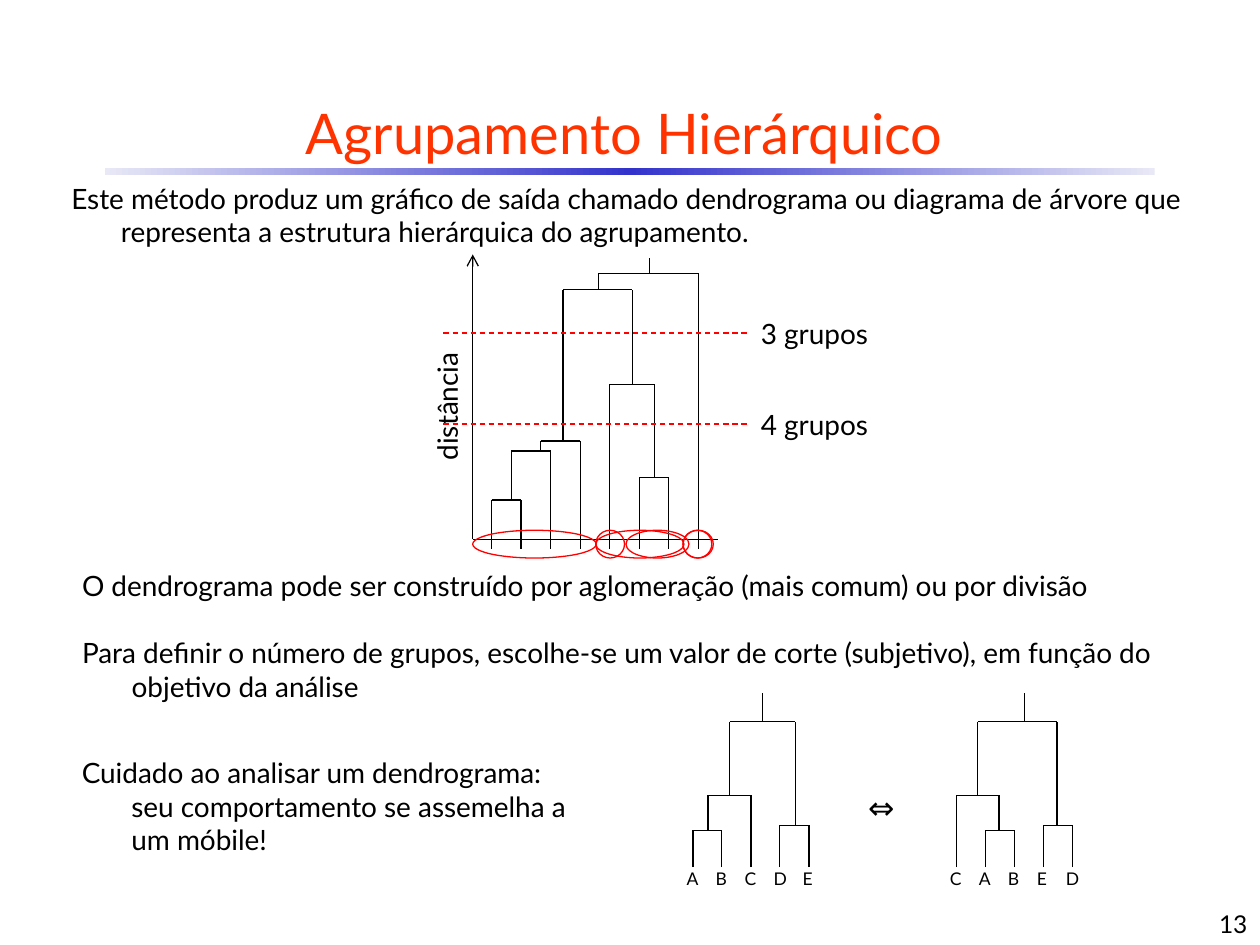
from dataclasses import dataclass
from lxml.etree import SubElement
from pptx import Presentation
from pptx.dml.color import RGBColor
from pptx.enum.dml import MSO_LINE
from pptx.enum.shapes import MSO_CONNECTOR, MSO_SHAPE
from pptx.enum.text import MSO_ANCHOR, MSO_AUTO_SIZE, PP_ALIGN
from pptx.oxml.ns import qn
from pptx.util import Cm, Pt


@dataclass(frozen=True)
class Theme:
    font: str = "Lato"
    ink: str = "000000"
    paper: str = "FFFFFF"
    title: str = "FF3300"
    cut: str = "FF0000"
    pale: str = "E8E8F6"
    deep: str = "3333CC"
    head: int = 32
    sign: int = 18
    body: int = 16
    page: int = 14
    leaf: int = 10
    line: float = 0.75


theme = Theme()
deck = Presentation()
deck.slide_width, deck.slide_height = Cm(25.4), Cm(19.05)
slide = deck.slides.add_slide(deck.slide_layouts[1])
shapes = slide.shapes


def draw(x1, y1, x2, y2, color=theme.ink):
    line = shapes.add_connector(
        MSO_CONNECTOR.STRAIGHT, Cm(x1), Cm(y1), Cm(x2), Cm(y2))
    line.line.color.rgb = RGBColor.from_string(color)
    line.line.width = Pt(theme.line)
    SubElement(line._element.spPr, qn("a:effectLst"))
    return line


def write(box, place, lines, size=theme.body, color=theme.ink,
          align=PP_ALIGN.LEFT, hang=0, wrap=True, gap=0):
    box.left, box.top, box.width, box.height = [Cm(n) for n in place]
    frame = box.text_frame
    frame.word_wrap = wrap
    frame.auto_size = MSO_AUTO_SIZE.NONE
    for i, text in enumerate(lines):
        para = frame.add_paragraph() if i else frame.paragraphs[0]
        props = para._p.get_or_add_pPr()
        props.set("marL", str(Cm(hang)))
        props.set("indent", str(-Cm(hang)))
        SubElement(props, qn("a:buNone"))
        para.alignment = align
        para.space_before = Pt(gap if i else 0)
        run = para.add_run()
        run.text = text
        run.font.name = theme.font
        run.font.size = Pt(size)
        run.font.color.rgb = RGBColor.from_string(color)
    return frame


bar = shapes.add_shape(MSO_SHAPE.RECTANGLE, Cm(2.11), Cm(3.39), Cm(21.17), Cm(0.2))
bar.shadow.inherit = False
bar.line.fill.background()
bar.fill.gradient()
bar.fill.gradient_angle = 0
stops = bar._element.spPr.find(".//" + qn("a:gsLst"))
for stop in list(stops):
    stops.remove(stop)
for part, color in ((0, theme.pale), (50, theme.deep), (100, theme.pale)):
    stop = SubElement(stops, qn("a:gs"), pos=str(part * 1000))
    SubElement(stop, qn("a:srgbClr"), val=color)

write(shapes.title, (0.84, 1.7, 23.5, 1.91), ["Agrupamento Hierárquico"],
      theme.head, theme.title, PP_ALIGN.CENTER)

intro = shapes.add_textbox(0, 0, 0, 0)
intro.fill.solid()
intro.fill.fore_color.rgb = RGBColor.from_string(theme.paper)
write(intro, (1.19, 3.53, 23.42, 1.63), [
    "Este método produz um gráfico de saída chamado dendrograma ou diagrama de "
    "árvore que representa a estrutura hierárquica do agrupamento."], hang=1)

write(slide.placeholders[1], (1.4, 11.33, 23.22, 3), [
    "O dendrograma pode ser construído por aglomeração (mais comum) ou por divisão",
    "Para definir o número de grupos, escolhe-se um valor de corte (subjetivo), "
    "em função do objetivo da análise"], hang=1, gap=19.2)

write(shapes.add_textbox(0, 0, 0, 0), (1.4, 15.11, 10.69, 2.31), [
    "Cuidado ao analisar um dendrograma: seu comportamento se assemelha a "
    "um móbile!"], hang=1)

base = 10.87
axis = draw(9.53, base, 9.53, 5.13)
SubElement(axis.line._get_or_add_ln(), qn("a:tailEnd"), type="arrow")
draw(9.53, base, 14.48, base)
leaf = [9.91 + 0.595 * i for i in range(8)]
for x in leaf:
    draw(x, 10.82, x, 11.07)

foot = 17.48
stems = [(13.1, 5.21, 5.51), (15.37, 13.97, 14.55), (20.65, 13.97, 14.55)]
for x, top, end in stems:
    draw(x, top, x, end)

forks = [
    (leaf[0], base, leaf[1], base, 10.08),
    (10.31, 10.08, leaf[2], base, 9.09),
    (10.9, 9.09, leaf[3], base, 8.89),
    (leaf[5], base, leaf[6], base, 9.63),
    (leaf[4], base, 13.2, 9.63, 7.75),
    (11.35, 8.89, 12.75, 7.75, 5.84),
    (12.07, 5.84, leaf[7], base, 5.51),
    (14.71, 16.03, 16.03, 16.64, 14.55),
    (14.27, 16.74, 15.14, foot, 16.03),
    (13.97, foot, 14.55, foot, 16.74),
    (15.72, foot, 16.31, foot, 16.64),
    (19.71, 16.03, 21.31, 16.64, 14.55),
    (19.28, foot, 20.14, 16.74, 16.03),
    (19.86, foot, 20.45, foot, 16.74),
    (21.03, foot, 21.62, foot, 16.64),
]
for left, low, right, end, top in forks:
    draw(left, low, left, top)
    draw(right, end, right, top)
    draw(left, top, right, top)

for start, names in ((13.59, "ABCDE"), (18.9, "CABED")):
    for i, name in enumerate(names):
        write(shapes.add_textbox(0, 0, 0, 0), (start + 0.585 * i, 17.37, 0.75, 0.69),
              [name], theme.leaf, wrap=False)
write(shapes.add_textbox(0, 0, 0, 0), (17.25, 15.77, 1.6, 1.02), ["⇔"], theme.sign)

label = shapes.add_textbox(0, 0, 0, 0)
write(label, (7.65, 7.7, 2.72, 0.94), ["distância"], wrap=False)
label.rotation = 270

for y, text in ((6.71, "3 grupos"), (8.55, "4 grupos")):
    draw(8.94, y, 15.09, y, theme.cut).line.dash_style = MSO_LINE.DASH
    write(shapes.add_textbox(0, 0, 0, 0), (15.09, y - 0.45, 2.79, 0.94),
          [text], wrap=False)

rings = [(12.01, 1.78), (13.77, 0.61), (9.53, 2.49),
         (12.01, 0.58), (13.77, 0.58), (12.62, 1.27)]
for x, wide in rings:
    ring = shapes.add_shape(MSO_SHAPE.OVAL, Cm(x), Cm(10.69), Cm(wide), Cm(0.56))
    ring.shadow.inherit = False
    ring.fill.background()
    ring.line.color.rgb = RGBColor.from_string(theme.cut)
    ring.line.width = Pt(theme.line)

page = write(shapes.add_textbox(0, 0, 0, 0), (20.12, 17.78, 5.28, 1.27), ["13"],
             theme.page, align=PP_ALIGN.RIGHT)
page.vertical_anchor = MSO_ANCHOR.BOTTOM

deck.save("out.pptx")
